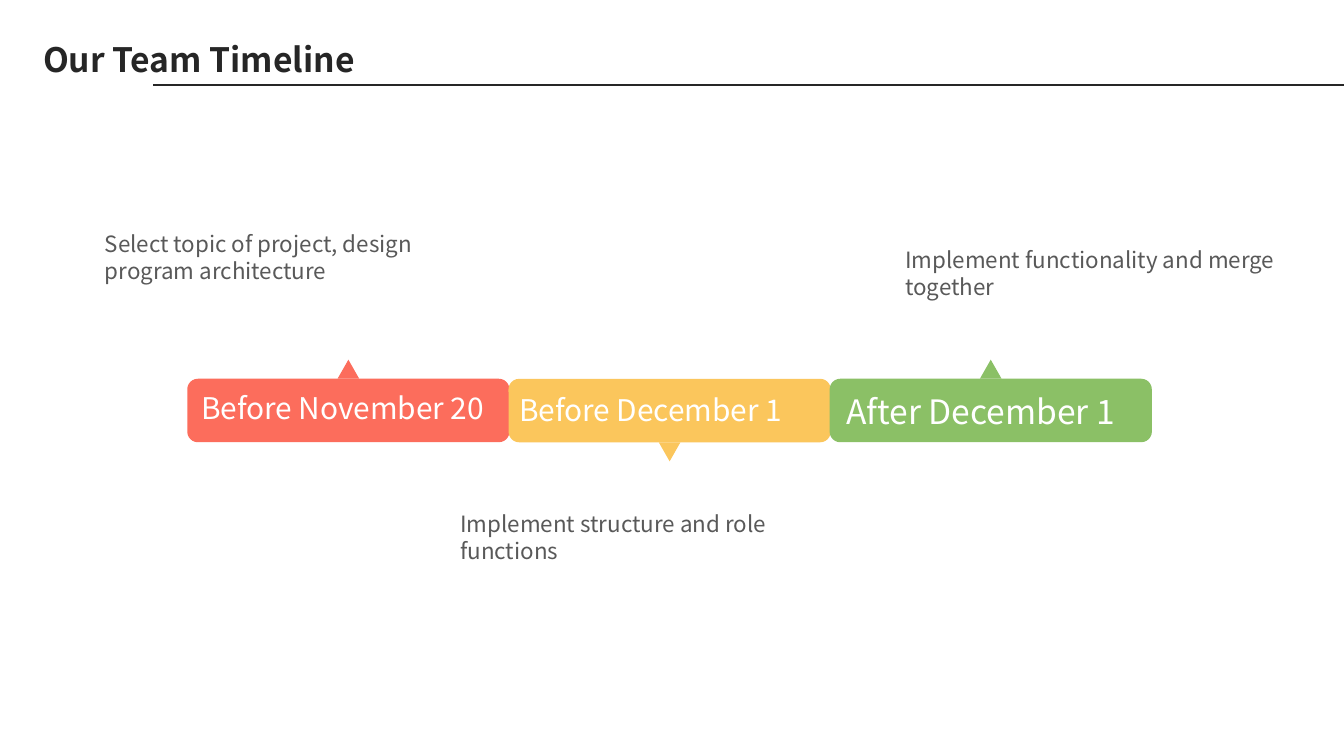
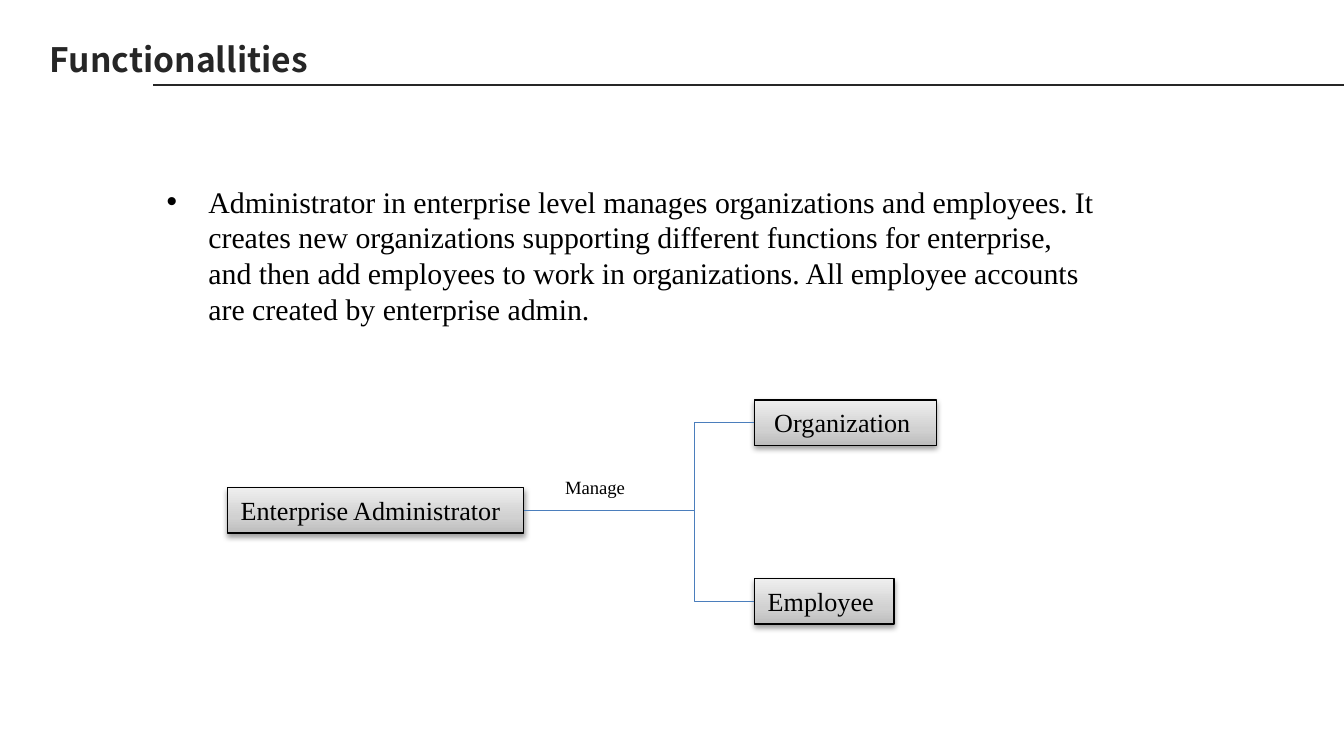
from copy import deepcopy
from dataclasses import dataclass

from lxml import etree
from pptx import Presentation
from pptx.dml.color import RGBColor
from pptx.enum.shapes import MSO_CONNECTOR, MSO_SHAPE
from pptx.enum.text import MSO_ANCHOR, MSO_AUTO_SIZE, PP_ALIGN
from pptx.oxml.ns import qn
from pptx.util import Cm, Pt

STRAIGHT, ELBOW = MSO_CONNECTOR.STRAIGHT, MSO_CONNECTOR.ELBOW
RECT, ROUNDED, TRIANGLE = MSO_SHAPE.RECTANGLE, MSO_SHAPE.ROUNDED_RECTANGLE, MSO_SHAPE.ISOSCELES_TRIANGLE
GROW, TOP, LEFT = MSO_AUTO_SIZE.SHAPE_TO_FIT_TEXT, MSO_ANCHOR.TOP, PP_ALIGN.LEFT
LEFT_SITE, RIGHT_SITE = 1, 3


@dataclass(frozen=True)
class Theme:
    sans: str = "Noto Sans CJK SC"
    serif: str = "Times New Roman"
    title: str = "262626"
    detail: str = "595959"
    white: str = "FFFFFF"
    black: str = "000000"
    link: str = "4B7EBC"
    box_stops: tuple = ((0, "BDBDBD"), (0.35, "D1D1D1"), (1, "EEEEEE"))
    title_size: int = 18
    body_size: int = 16
    box_size: int = 14
    detail_size: int = 12
    link_size: int = 10


THEME = Theme()

# Titles: text, left, width (cm)
TIMELINE_TITLE = ("Our Team Timeline", 0.56, 6.58)
FUNCTIONS_TITLE = ("Functionallities", 0.69, 5.41)

STEPS = [
    dict(when="Before November 20", size=16, color="FC6D5C", points_up=True,
         label=(3.55, 7.24, 6.17), detail="Select topic of project, design program architecture",
         detail_at=(1.73, 4.23)),
    dict(when="Before December 1", size=16, color="FBC65C", points_up=False,
         label=(9.56, 7.28, 5.77), detail="Implement structure and role functions",
         detail_at=(8.45, 9.52)),
    dict(when="After December 1", size=18, color="8BC066", points_up=True,
         label=(15.75, 7.26, 5.97), detail="Implement functionality and merge together",
         detail_at=(16.86, 4.53)),
]
BAND_LEFT, BAND_TOP, BAND_W, BAND_H, BAND_PITCH = 3.54, 7.16, 6.09, 1.2, 6.07
POINTER_W, POINTER_H = 0.41, 0.36

ADMIN_DUTIES = (
    "Administrator in enterprise level manages organizations and employees. "
    "It creates new organizations supporting different functions for enterprise, "
    "and then add employees to work in organizations. "
    "All employee accounts are created by enterprise admin."
)
# Boxes: text, left, top, width (cm)
ADMIN = ("Enterprise Administrator", 4.3, 9.22, 5.6)
EMPLOYEE = ("Employee", 14.26, 10.94, 2.64)
ORGANIZATION = (" Organization", 14.26, 7.56, 3.44)
BOX_H = 0.86
BRANCH_START, BRANCH_X = 12.0, 13.13
BRANCH_Y = ADMIN[2] + BOX_H / 2


def rgb(value):
    return RGBColor.from_string(value)


def lengths(*values):
    return [Cm(value) for value in values]


def write(shape, text, size, color, font=THEME.sans, bold=False, wrap=True):
    frame = shape.text_frame
    frame.text = text
    frame.word_wrap = wrap
    frame.auto_size = GROW
    frame.vertical_anchor = TOP
    paragraph = frame.paragraphs[0]
    paragraph.alignment = LEFT
    for run in paragraph.runs:
        run.font.name = font
        run.font.size = Pt(size)
        run.font.bold = bold
        run.font.color.rgb = rgb(color)
    return paragraph


def add_text(shapes, at, text, size, color, **style):
    return write(shapes.add_textbox(*lengths(*at)), text, size, color, **style)


def add_filled(shapes, kind, at, color, rotation=0):
    shape = shapes.add_shape(kind, *lengths(*at))
    shape.shadow.inherit = False
    shape.fill.solid()
    shape.fill.fore_color.rgb = rgb(color)
    shape.line.fill.background()
    shape.rotation = rotation


def add_line(slide, kind, start, end, color, width):
    line = slide.shapes.add_connector(kind, *lengths(*start, *end))
    line.line.color.rgb = rgb(color)
    line.line.width = Pt(width)
    etree.SubElement(line._element.spPr, qn("a:effectLst"))
    return line


def add_titled_slide(deck, text, left, width):
    slide = deck.slides.add_slide(deck.slide_layouts[5])
    title = slide.shapes.title
    title.left, title.top, title.width, title.height = lengths(left, 0.6, width, 1.02)
    write(title, text, THEME.title_size, THEME.title, bold=True, wrap=False)
    add_line(slide, STRAIGHT, (2.9, 1.6), (25.4, 1.6), THEME.title, 1)
    return slide


def add_step(slide, index, step):
    """Group a coloured band with its pointer and date."""
    shapes = slide.shapes.add_group_shape().shapes
    left = BAND_LEFT + index * BAND_PITCH
    pointer_left = left + (BAND_W - POINTER_W) / 2
    pointer_top = BAND_TOP - POINTER_H if step["points_up"] else BAND_TOP + BAND_H
    rotation = 0 if step["points_up"] else 180
    add_filled(shapes, ROUNDED, (left, BAND_TOP, BAND_W, BAND_H), step["color"], rotation)
    add_filled(shapes, TRIANGLE, (pointer_left, pointer_top, POINTER_W, POINTER_H),
               step["color"], rotation)
    add_text(shapes, (*step["label"], 0.94), step["when"], step["size"],
             THEME.white, wrap=False)


def shade(shape):
    """Give the shape a three-stop grey gradient and a soft shadow below."""
    fill = shape.fill
    fill.gradient()
    fill.gradient_angle = 90
    stop_list = shape._element.spPr.find(qn("a:gradFill")).find(qn("a:gsLst"))
    stop_list.append(deepcopy(stop_list[0]))
    for stop, (position, color) in zip(fill.gradient_stops, THEME.box_stops):
        stop.position = position
        stop.color.rgb = rgb(color)
    shape.shadow.inherit = False
    effects = shape._element.spPr.find(qn("a:effectLst"))
    shadow = etree.SubElement(effects, qn("a:outerShdw"), blurRad=str(Pt(3.1)),
                              dist=str(Pt(1.6)), dir="5400000", rotWithShape="0")
    color = etree.SubElement(shadow, qn("a:srgbClr"), val=THEME.black)
    etree.SubElement(color, qn("a:alpha"), val="38000")


def add_box(slide, text, left, top, width):
    box = slide.shapes.add_shape(RECT, *lengths(left, top, width, BOX_H))
    box.line.color.rgb = rgb(THEME.black)
    box.line.width = Pt(0.75)
    shade(box)
    write(box, text, THEME.box_size, THEME.black, font=THEME.serif)
    return box


def add_bullet(paragraph):
    properties = paragraph._p.get_or_add_pPr()
    properties.set("marL", str(Cm(0.79)))
    properties.set("indent", str(-Cm(0.79)))
    etree.SubElement(properties, qn("a:buFont"), typeface="Arial")
    etree.SubElement(properties, qn("a:buChar"), char="•")


def build_timeline(deck):
    slide = add_titled_slide(deck, *TIMELINE_TITLE)
    for index, step in enumerate(STEPS):
        add_step(slide, index, step)
    for step in STEPS:
        add_text(slide.shapes, (*step["detail_at"], 8.0, 1.27), step["detail"],
                 THEME.detail_size, THEME.detail)


def build_functions(deck):
    slide = add_titled_slide(deck, *FUNCTIONS_TITLE)
    duties = add_text(slide.shapes, (2.9, 3.34, 18.1, 3.0), ADMIN_DUTIES,
                      THEME.body_size, THEME.black, font=THEME.serif)
    add_bullet(duties)
    admin, employee, organization = [
        add_box(slide, *box) for box in (ADMIN, EMPLOYEE, ORGANIZATION)
    ]
    junction = (BRANCH_START, BRANCH_Y)
    manages = add_line(slide, STRAIGHT, junction, junction, THEME.link, 0.75)
    manages.begin_connect(admin, RIGHT_SITE)
    add_text(slide.shapes, (10.43, 8.87, 1.68, 0.69), "Manage", THEME.link_size,
             THEME.black, font=THEME.serif, wrap=False)
    branches = (
        (organization, ORGANIZATION, BRANCH_START, "bentConnector3"),
        (employee, EMPLOYEE, BRANCH_X, "bentConnector2"),
    )
    for box, (_, left, top, _), end_x, bend in branches:
        branch = add_line(slide, ELBOW, (left, top + BOX_H / 2), (end_x, BRANCH_Y),
                          THEME.link, 0.75)
        branch._element.spPr.find(qn("a:prstGeom")).set("prst", bend)
        branch.begin_connect(box, LEFT_SITE)


def main():
    deck = Presentation()
    deck.slide_width, deck.slide_height = lengths(25.4, 14.29)
    build_timeline(deck)
    build_functions(deck)
    deck.save("out.pptx")


if __name__ == "__main__":
    main()
